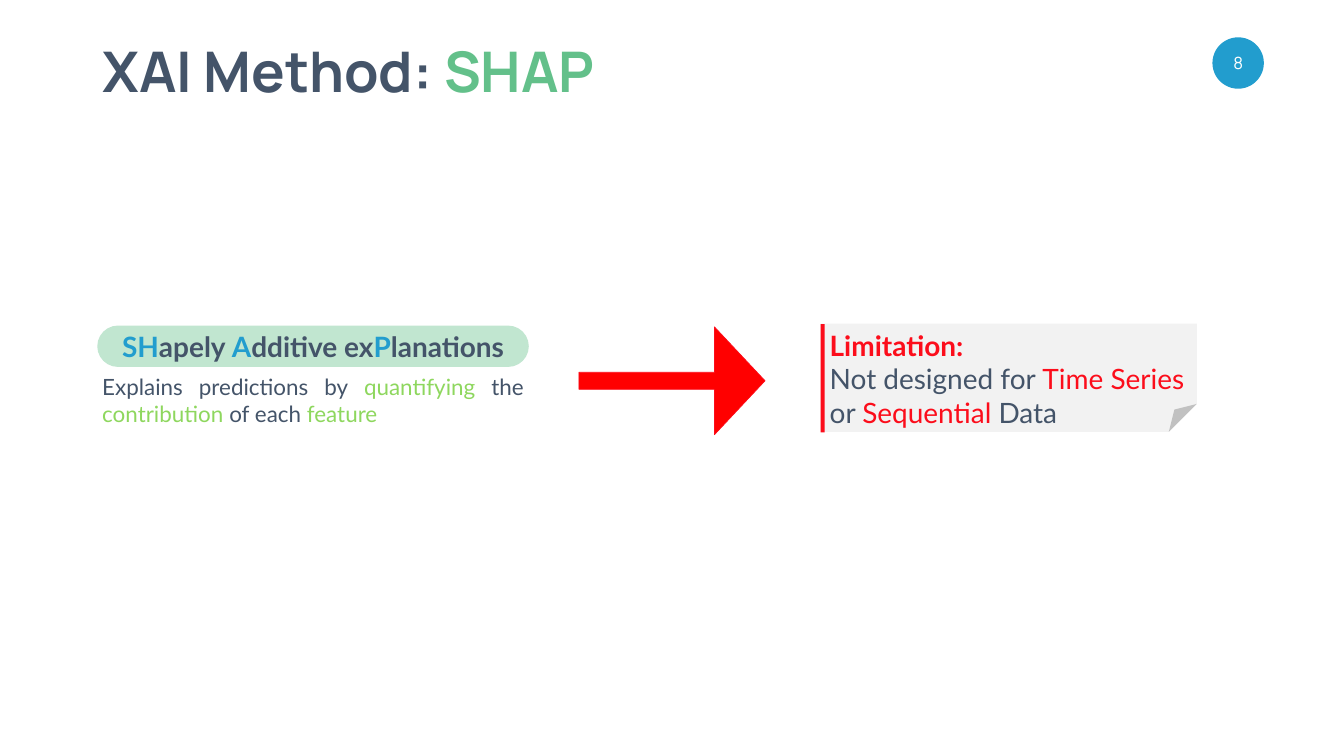
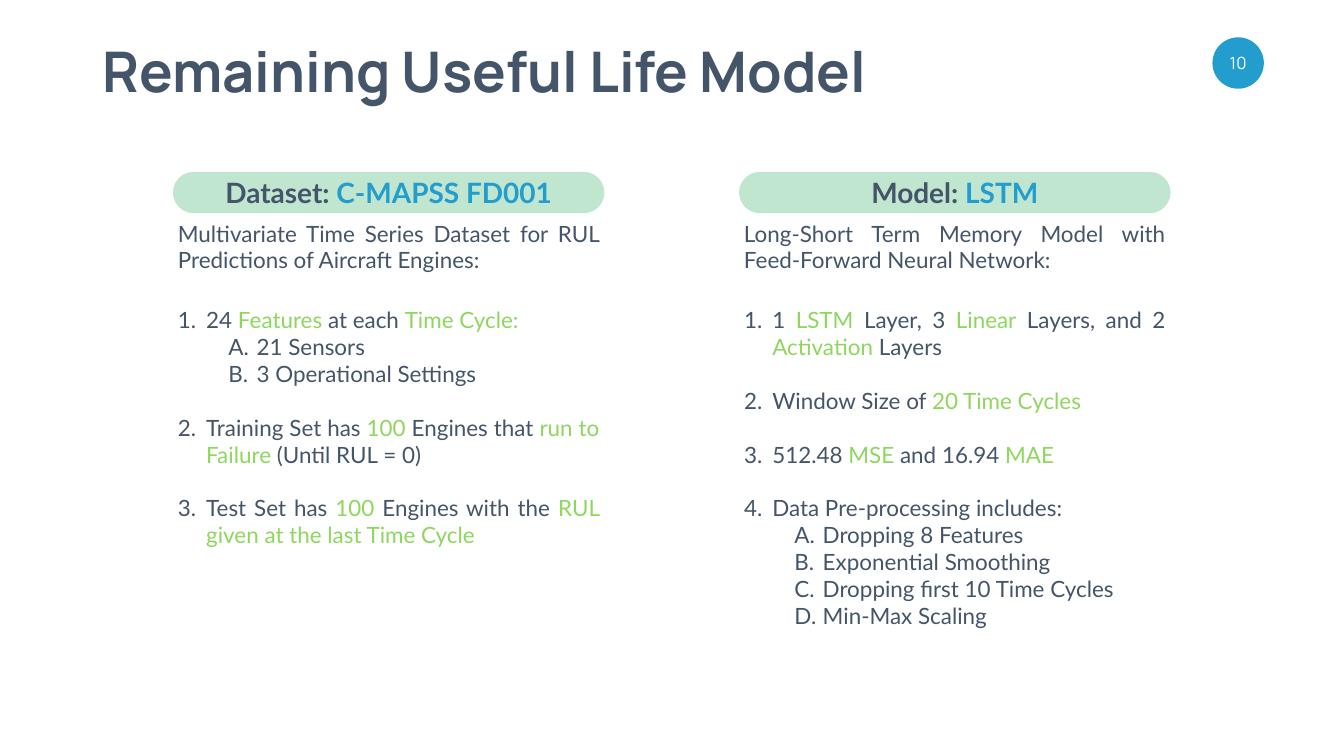
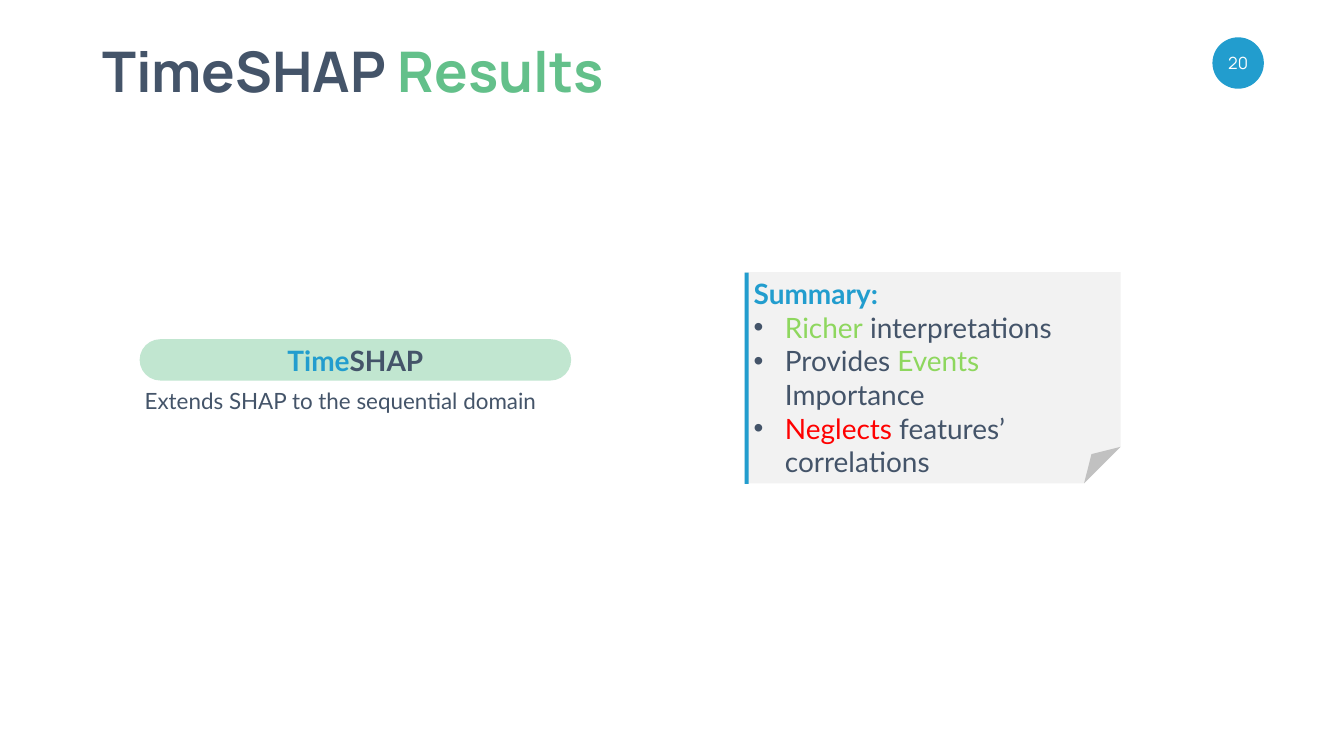
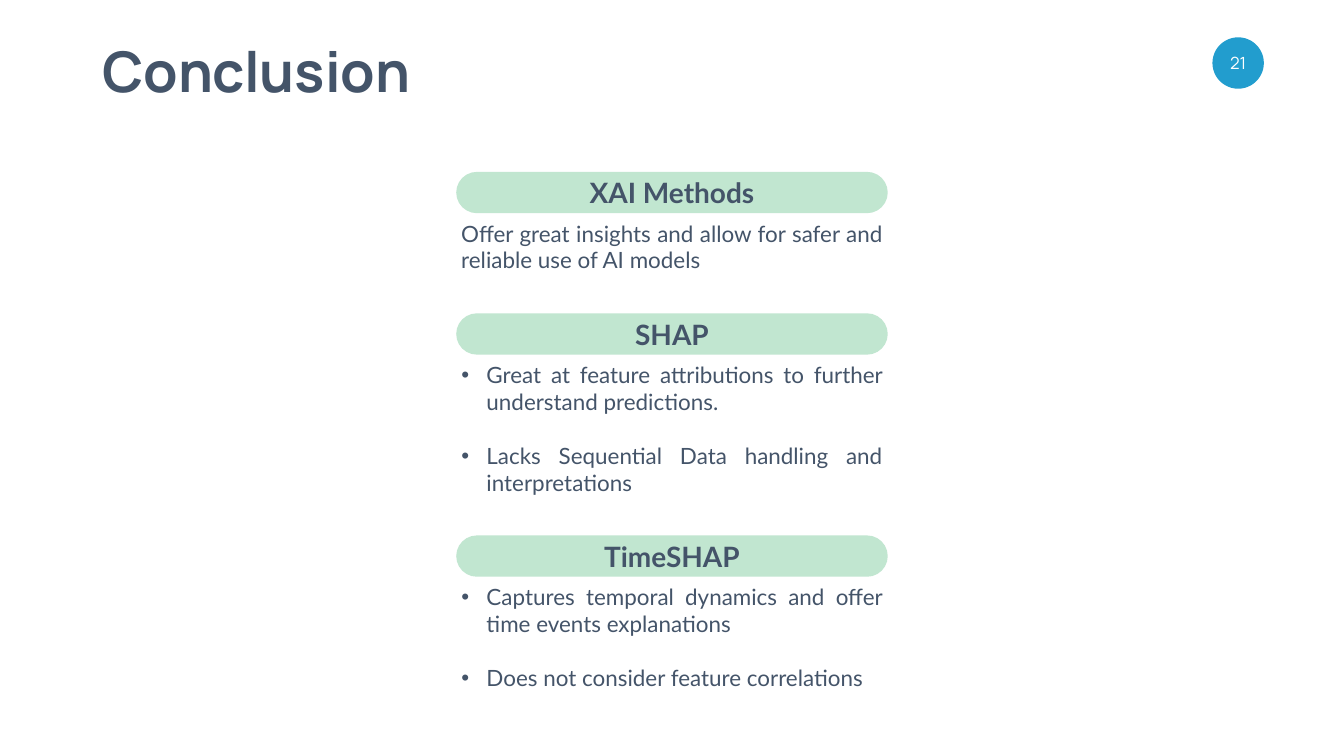
from lxml import etree
from pptx import Presentation, util as u
from pptx.dml.color import RGBColor
from pptx.enum import shapes, text
from pptx.oxml import ns

INK = RGBColor(0x44, 0x54, 0x69)
BLUE = RGBColor(0x22, 0x9D, 0xCE)
GREEN = RGBColor(0x63, 0xC0, 0x8A)
LIME = RGBColor(0x8E, 0xD7, 0x5E)
MINT = RGBColor(0xC1, 0xE6, 0xD0)
GREY = RGBColor(0xF2, 0xF2, 0xF2)
CRIMSON = RGBColor(0xFC, 0x0D, 0x1B)
RED = RGBColor(0xFF, 0x00, 0x00)
WHITE = RGBColor(0xFF, 0xFF, 0xFF)

TITLE_FONT, BODY_FONT = "Manrope", "Lato"
TITLE_PT, HEADING_PT, BODY_PT, NUMBER_PT = 80, 40, 32, 24
LEFT, JUSTIFY, CENTER = text.PP_ALIGN.LEFT, text.PP_ALIGN.JUSTIFY, text.PP_ALIGN.CENTER
LINE = 1.2  # line height of the body font, in ems

COLUMN_W, PILL_H, BODY_DROP = 8.56, 0.82, 0.9
CARD_W, CARD_BAR = 7.46, 0.08
TOP, LIST_GAP, SECTION_GAP = 3.41, 0.55, 0.74

# kind of paragraph: bullet tag, its attributes, level
BULLETS = {
    "plain": ("buNone", {}, 0),
    "head": ("buNone", {}, 0),
    "bullet": ("buChar", {"char": "•"}, 0),
    "number": ("buAutoNum", {"type": "arabicPeriod"}, 0),
    "letter": ("buAutoNum", {"type": "alphaUcPeriod"}, 1),
}

# Each run is plain text in ink, or (text, colour).
# slide number, layout index, title width, title runs
SLIDES = {
    "shap": (8, 5, 10.41, ["XAI Method: ", ("SHAP", GREEN)]),
    "model": (10, 3, 16.31, ["Remaining Useful Life Model"]),
    "results": (20, 1, 10.57, ["TimeSHAP ", ("Results", GREEN)]),
    "conclusion": (21, 3, 6.72, ["Conclusion"]),
}

SHAP_HEADING = [("SH", BLUE), "apely ", ("A", BLUE), "dditive ex", ("P", BLUE), "lanations"]
SHAP_TEXT = [("plain", ["Explains predictions by ", ("quantifying", LIME), " the ",
                        ("contribution", LIME), " of each ", ("feature", LIME)])]
LIMITATION = [
    ("head", [("Limitation:", CRIMSON)]),
    ("plain", ["Not designed for ", ("Time Series", CRIMSON), " or ",
               ("Sequential", CRIMSON), " Data"]),
]

# left, heading, intro, list, lines in the list
MODEL_COLUMNS = [
    (3.43, ["Dataset: ", ("C-MAPSS FD001", BLUE)],
     "Multivariate Time Series Dataset for RUL Predictions of Aircraft Engines:",
     [("number", ["24 ", ("Features ", LIME), "at each ", ("Time Cycle:", LIME)]),
      ("letter", ["21 Sensors"]),
      ("letter", ["3 Operational Settings"]),
      ("number", ["Training Set has ", ("100", LIME), " Engines that ",
                  ("run to Failure", LIME), " (Until RUL = 0)"]),
      ("number", ["Test Set has ", ("100", LIME), " Engines with the ",
                  ("RUL given at the last Time Cycle", LIME)])], 9),
    (14.66, ["Model: ", ("LSTM", BLUE)],
     "Long-Short Term Memory Model with Feed-Forward Neural Network:",
     [("number", ["1", (" LSTM", LIME), " Layer, 3", (" Linear", LIME),
                  " Layers, and 2", (" Activation", LIME), " Layers"]),
      ("number", ["Window Size of ", ("20 Time Cycles", LIME)]),
      ("number", ["512.48 ", ("MSE", LIME), " and 16.94", (" MAE", LIME)]),
      ("number", ["Data Pre-processing includes:"]),
      ("letter", ["Dropping 8 Features"]),
      ("letter", ["Exponential Smoothing"]),
      ("letter", ["Dropping first 10 Time Cycles"]),
      ("letter", ["Min-Max Scaling"])], 12),
]

RESULTS_HEADING = [("Time", BLUE), "SHAP"]
RESULTS_TEXT = [("plain", ["Extends SHAP to the sequential domain"])]
SUMMARY = [
    ("head", [("Summary:", BLUE)]),
    ("bullet", [("Richer", LIME), " interpretations"]),
    ("bullet", ["Provides ", ("Events", LIME), " Importance"]),
    ("bullet", [("Neglects", RED), " features’ correlations"]),
]

# heading, paragraphs, lines
CONCLUSIONS = [
    ("XAI Methods",
     [("plain", ["Offer great insights and allow for safer and reliable use of AI models"])], 2),
    ("SHAP",
     [("bullet", ["Great at feature attributions to further understand predictions."]),
      ("bullet", ["Lacks Sequential Data handling and interpretations"])], 5),
    ("TimeSHAP",
     [("bullet", ["Captures temporal dynamics and offer time events explanations"]),
      ("bullet", ["Does not consider feature correlations"])], 4),
]


def set_all(obj, **values):
    for name, value in values.items():
        setattr(obj, name, value)


def box(*lengths):
    return [u.Inches(x) for x in lengths]


def place(sp, *at):
    set_all(sp, **dict(zip(("left", "top", "width", "height"), box(*at))))


def text_height(lines, size=BODY_PT):
    return 0.1 + lines * size * LINE / 72


def add_runs(p, runs, size, font=BODY_FONT, bold=False, colour=INK):
    for run in runs:
        words, tint = (run, colour) if isinstance(run, str) else run
        r = p.add_run()
        r.text = words
        set_all(r.font, size=u.Pt(size), name=font, bold=bold)
        r.font.color.rgb = tint


def set_bullet(p, kind, hang):
    tag, attributes, level = BULLETS[kind]
    p.level = level
    pPr = p._p.get_or_add_pPr()
    if tag == "buNone":
        hang = 0
    pPr.set("marL", str(u.Inches(hang + level)))
    pPr.set("indent", str(u.Inches(-hang)))
    if hang:
        colour = etree.SubElement(pPr, ns.qn("a:buClr"))
        etree.SubElement(colour, ns.qn("a:srgbClr"), val=str(INK))
    etree.SubElement(pPr, ns.qn(f"a:{tag}"), attributes)


def write(sp, paragraphs, size=BODY_PT, align=JUSTIFY, hang=0.5, gap=0):
    """Fill a shape with (kind, runs) paragraphs; gap is the space, in lines, between items."""
    tf = sp.text_frame
    set_all(tf, word_wrap=True, auto_size=text.MSO_AUTO_SIZE.NONE,
            vertical_anchor=text.MSO_ANCHOR.TOP)
    for i, (kind, runs) in enumerate(paragraphs):
        p = tf.add_paragraph() if i else tf.paragraphs[0]
        spaced = i and BULLETS[kind][2] == 0
        set_all(p, alignment=align, line_spacing=1.0, space_after=u.Pt(0),
                space_before=u.Pt(gap * size * LINE if spaced else 0))
        set_bullet(p, kind, hang)
        add_runs(p, runs, size, bold=kind == "head")


def add_text(s, at, paragraphs, **style):
    write(s.shapes.add_textbox(*box(*at)), paragraphs, **style)


def add_list(sp, at, paragraphs, **style):
    """Move a body placeholder to the front and fill it."""
    sp.element.getparent().append(sp.element)
    place(sp, *at)
    write(sp, paragraphs, **style)


def set_adjustments(sp, **values):
    """Write the shape's adjust values, given as fractions, by their preset names."""
    guides = sp.element.find(".//" + ns.qn("a:avLst"))
    for guide in list(guides):
        guides.remove(guide)
    for name, value in values.items():
        etree.SubElement(guides, ns.qn("a:gd"), name=name, fmla=f"val {round(value * 100000)}")


def add_shape(s, kind, at, fill, **adjust):
    sp = s.shapes.add_shape(kind, *box(*at))
    sp.shadow.inherit = False
    sp.fill.solid()
    sp.fill.fore_color.rgb = fill
    sp.line.fill.background()
    set_adjustments(sp, **adjust)
    return sp


def add_label(sp, runs, size, inset=(0, 0), **style):
    tf = sp.text_frame
    x, y = box(*inset)
    set_all(tf, margin_left=x, margin_right=x, margin_top=y, margin_bottom=y,
            word_wrap=True, vertical_anchor=text.MSO_ANCHOR.MIDDLE)
    tf.paragraphs[0].alignment = CENTER
    add_runs(tf.paragraphs[0], runs, size, **style)


def add_pill(s, left, top, runs):
    sp = add_shape(s, shapes.MSO_SHAPE.ROUNDED_RECTANGLE, (left, top, COLUMN_W, PILL_H),
                   MINT, adj=0.5)
    add_label(sp, runs, HEADING_PT, (0.24, 0.12), bold=True)


def add_section(s, left, top, heading, paragraphs, lines):
    """Heading pill with text under it; returns the bottom of the text."""
    add_pill(s, left, top, heading)
    top, height = top + BODY_DROP, text_height(lines)
    add_text(s, (left, top, COLUMN_W, height), paragraphs)
    return top + height


def add_card(s, left, top, height, fold, accent):
    """Folded note with an accent bar; returns the area for its text."""
    add_shape(s, shapes.MSO_SHAPE.FOLDED_CORNER, (left, top, CARD_W, height), GREY, adj=fold)
    add_shape(s, shapes.MSO_SHAPE.RECTANGLE, (left, top + 0.01, CARD_BAR, height), accent)
    return left + CARD_BAR, top + 0.04, CARD_W - CARD_BAR, height - 0.04


def new_slide(prs, name):
    """Slide with badge and title; returns it with its body placeholders."""
    number, layout, title_w, title = SLIDES[name]
    s = prs.slides.add_slide(prs.slide_layouts[layout])
    badge = add_shape(s, shapes.MSO_SHAPE.OVAL, (24.05, 0.74, 1.02, 1.02), BLUE)
    add_label(badge, [str(number)], NUMBER_PT, font=TITLE_FONT, colour=WHITE)
    sp = s.shapes.title
    place(sp, 1.93, 0.67, title_w, 1.45)
    tf = sp.text_frame
    set_all(tf, word_wrap=False, auto_size=text.MSO_AUTO_SIZE.NONE,
            vertical_anchor=text.MSO_ANCHOR.TOP)
    tf.paragraphs[0].alignment = LEFT
    add_runs(tf.paragraphs[0], title, TITLE_PT, TITLE_FONT, bold=True)
    return s, [ph for ph in s.placeholders if ph.placeholder_format.idx > 0]


def shap_slide(prs):
    s, _ = new_slide(prs, "shap")
    add_section(s, 1.93, 6.46, SHAP_HEADING, SHAP_TEXT, 2)
    area = add_card(s, 16.28, 6.42, 2.15, 0.258, CRIMSON)
    add_text(s, area, LIMITATION, size=HEADING_PT, align=LEFT)
    arrow = add_shape(s, shapes.MSO_SHAPE.DOWN_ARROW, (12.26, 5.71, 2.14, 3.69), RED,
                      adj1=0.158, adj2=0.469)
    arrow.rotation = 270
    arrow.line.color.rgb = CRIMSON
    arrow.line.width = u.Pt(1)


def model_slide(prs):
    s, bodies = new_slide(prs, "model")
    for body, (left, heading, intro, items, lines) in zip(bodies, MODEL_COLUMNS):
        bottom = add_section(s, left, TOP, heading, [("plain", [intro])], 2)
        add_list(body, (left, bottom + LIST_GAP, COLUMN_W, text_height(lines)), items,
                 hang=0.56, gap=1)


def results_slide(prs):
    s, (body,) = new_slide(prs, "results")
    area = add_card(s, 14.77, 5.4, 4.19, 0.173, BLUE)
    add_list(body, area, SUMMARY, size=HEADING_PT, align=LEFT, hang=0.62)
    add_section(s, 2.77, 6.73, RESULTS_HEADING, RESULTS_TEXT, 1)


def conclusion_slide(prs):
    s, bodies = new_slide(prs, "conclusion")
    left, top = 9.05, TOP
    (heading, intro, lines), *lists = CONCLUSIONS
    top = add_section(s, left, top, [heading], intro, lines) + SECTION_GAP
    for body, (heading, items, lines) in zip(bodies, lists):
        add_pill(s, left, top, [heading])
        height = text_height(lines)
        add_list(body, (left, top + BODY_DROP, COLUMN_W, height), items, gap=1)
        top += BODY_DROP + height + SECTION_GAP


def main():
    prs = Presentation()
    prs.slide_width, prs.slide_height = box(26.66, 15)
    for build in (shap_slide, model_slide, results_slide, conclusion_slide):
        build(prs)
    prs.save("out.pptx")


if __name__ == "__main__":
    main()
